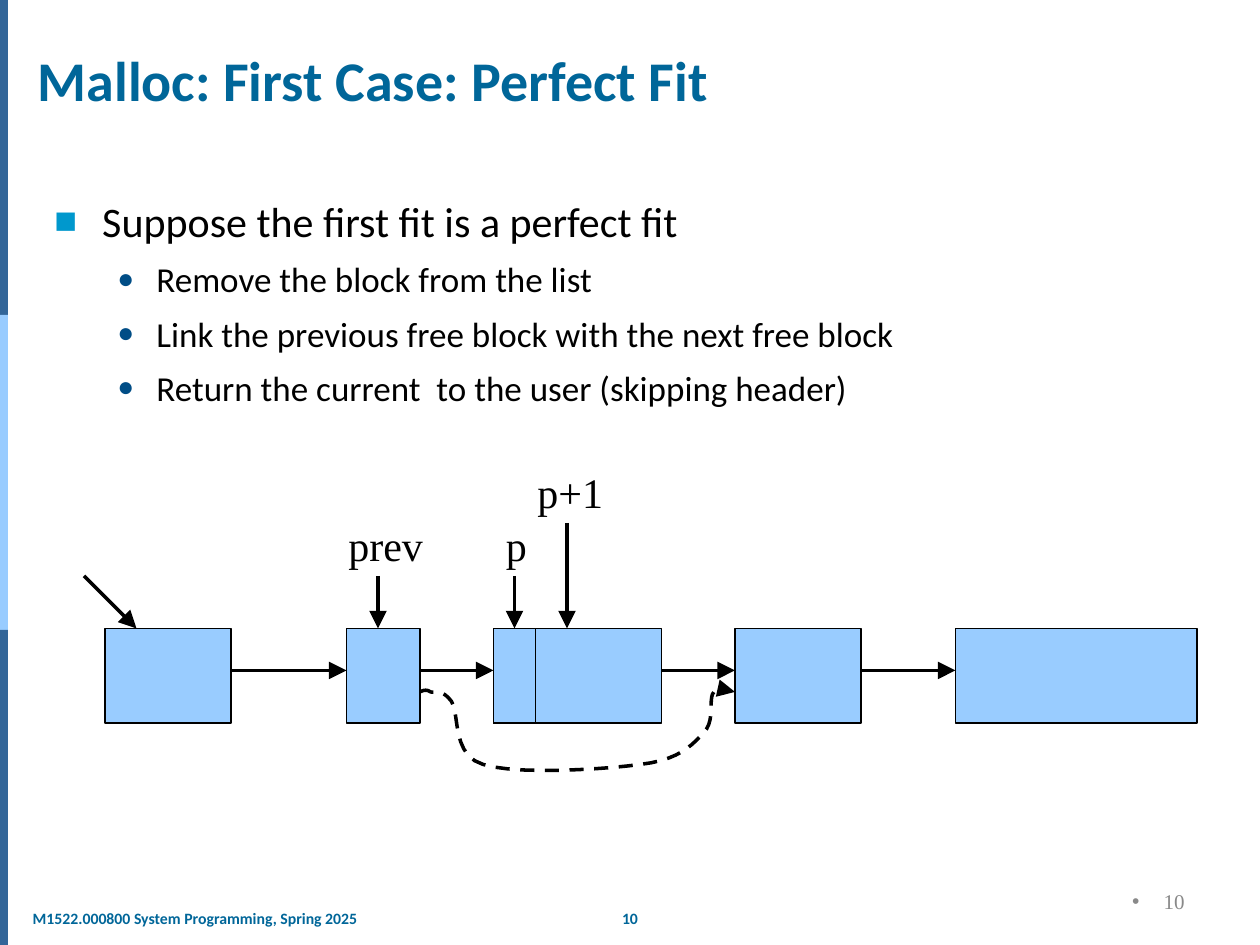
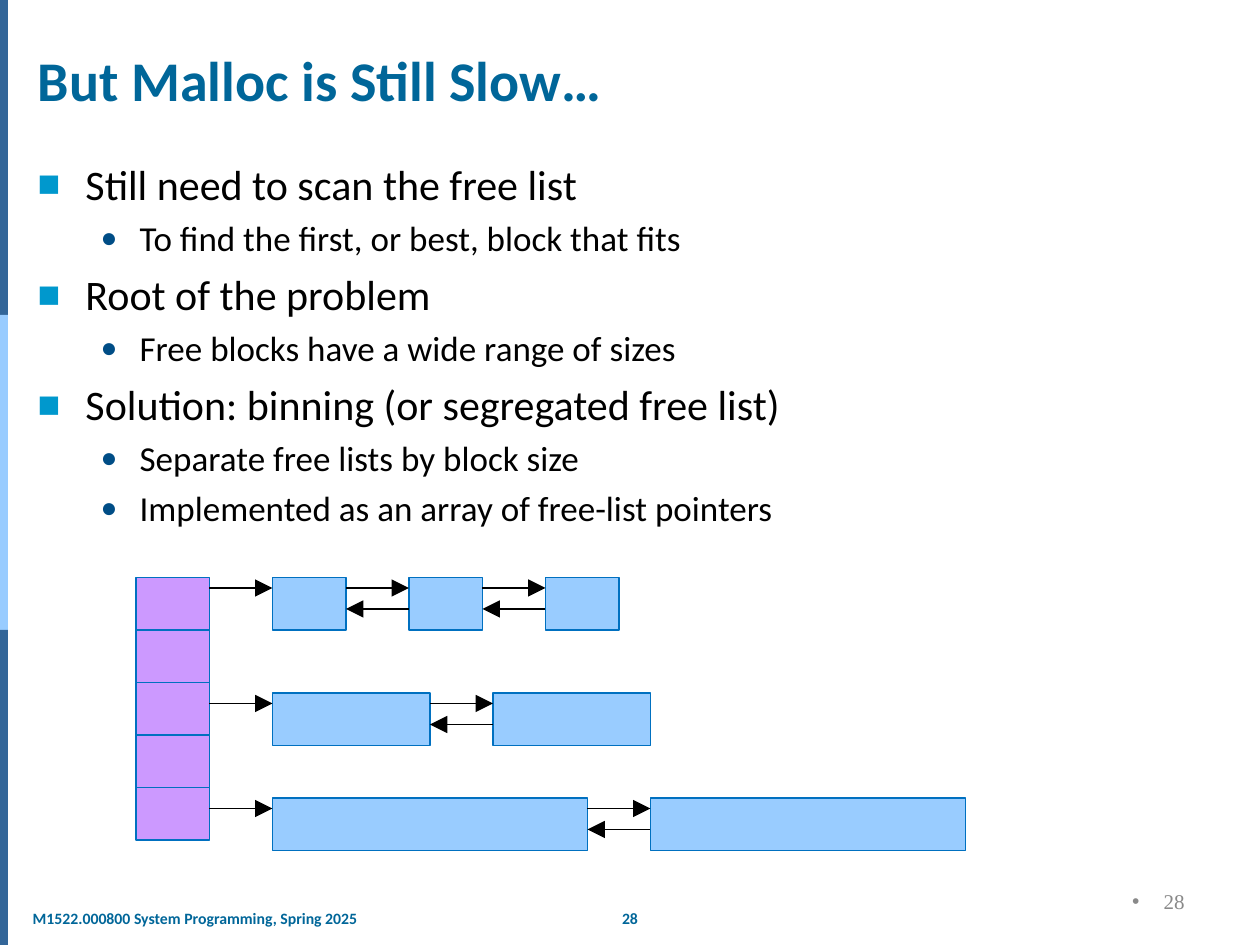
from dataclasses import dataclass
from typing import Optional

from lxml import etree
from pptx import Presentation
from pptx.dml.color import RGBColor
from pptx.enum.dml import MSO_LINE
from pptx.enum.shapes import MSO_CONNECTOR, MSO_SHAPE
from pptx.enum.text import MSO_ANCHOR, PP_ALIGN
from pptx.oxml.ns import qn
from pptx.util import Inches, Pt

RECTANGLE = MSO_SHAPE.RECTANGLE
STRAIGHT = MSO_CONNECTOR.STRAIGHT
DASH = MSO_LINE.DASH
LEFT, CENTER, RIGHT = PP_ALIGN.LEFT, PP_ALIGN.CENTER, PP_ALIGN.RIGHT
TOP, MIDDLE, BOTTOM = MSO_ANCHOR.TOP, MSO_ANCHOR.MIDDLE, MSO_ANCHOR.BOTTOM

WIDTH, HEIGHT = Inches(10), Inches(7.5)
COLUMNS, ROWS = 120, 90
TITLE_ONLY = 5
TOP_SIDE = 0
COURSE = "M1522.000800 System Programming, Spring 2025"


@dataclass(frozen=True)
class Theme:
    sans: str = "Calibri"
    serif: str = "Times New Roman"
    heading: str = "006699"
    ink: str = "000000"
    muted: str = "898989"
    band_dark: str = "336699"
    block: str = "99CCFF"
    bin: str = "CC99FF"
    outline: str = "0070C0"
    title_size: float = 32
    label_size: float = 24
    number_size: float = 12
    footer_size: float = 9
    thin: float = 0.75
    thick: float = 2


THEME = Theme()


@dataclass(frozen=True)
class Area:
    column: float
    row: float
    columns: float
    rows: float


@dataclass(frozen=True)
class Bullet:
    mark: str
    margin: float
    hanging: float
    color: Optional[str] = None
    percent: int = 100


@dataclass(frozen=True)
class Level:
    size: float
    before: float
    bullet: Bullet


@dataclass(frozen=True)
class Item:
    level: int
    text: str


@dataclass(frozen=True)
class Label:
    text: str
    area: Area


@dataclass(frozen=True)
class FreeList:
    bin_index: int
    row: int
    block_columns: int
    count: int


LEVELS = (
    Level(24, 8.4, Bullet("■", 0.38, 0.38, "0098CD", 90)),
    Level(20, 7, Bullet("●", 0.81, 0.31, "004D86", 80)),
)
NUMBER_BULLET = Bullet("•", 0.25, 0.25)


def across(columns: float) -> int:
    return round(WIDTH * columns / COLUMNS)


def down(rows: float) -> int:
    return round(HEIGHT * rows / ROWS)


def bounds(area: Area) -> tuple:
    return across(area.column), down(area.row), across(area.columns), down(area.rows)


def set_bullet(para, bullet: Bullet) -> None:
    properties = para._p.get_or_add_pPr()
    properties.set("marL", str(Inches(bullet.margin)))
    properties.set("indent", str(-Inches(bullet.hanging)))
    if bullet.color:
        color = etree.SubElement(properties, qn("a:buClr"))
        etree.SubElement(color, qn("a:srgbClr")).set("val", bullet.color)
    etree.SubElement(properties, qn("a:buSzPct")).set("val", str(bullet.percent * 1000))
    etree.SubElement(properties, qn("a:buFont")).set("typeface", "Arial")
    etree.SubElement(properties, qn("a:buChar")).set("char", bullet.mark)


def write(para, text: str, *, size: float, color: str = THEME.ink, font: str = THEME.sans,
          bold: bool = False, align=LEFT, bullet: Optional[Bullet] = None) -> None:
    if bullet:
        set_bullet(para, bullet)
    para.alignment = align
    span = para.add_run()
    span.text = text
    span.font.name = font
    span.font.size = Pt(size)
    span.font.bold = bold
    span.font.color.rgb = RGBColor.from_string(color)


def add_text(page, area: Area, text: str, *, wrap: bool = False, anchor=TOP,
             side_inset: float = 0.1, **style) -> None:
    frame = page.shapes.add_textbox(*bounds(area)).text_frame
    frame.word_wrap = wrap
    frame.vertical_anchor = anchor
    frame.margin_left = frame.margin_right = Inches(side_inset)
    write(frame.paragraphs[0], text, **style)


def add_block(page, area: Area, fill: str, outline: Optional[str] = None):
    box = page.shapes.add_shape(RECTANGLE, *bounds(area))
    box.shadow.inherit = False
    box.fill.solid()
    box.fill.fore_color.rgb = RGBColor.from_string(fill)
    if outline:
        box.line.color.rgb = RGBColor.from_string(outline)
        box.line.width = Pt(THEME.thin)
    else:
        box.line.fill.background()
    return box


def style_arrow(shape, weight: float) -> None:
    shape.line.color.rgb = RGBColor.from_string(THEME.ink)
    shape.line.width = Pt(weight)
    outline = shape._element.spPr.find(qn("a:ln"))
    head = etree.SubElement(outline, qn("a:tailEnd"))
    for name, value in (("type", "triangle"), ("w", "lg"), ("len", "lg")):
        head.set(name, value)


def add_arrow(page, start: tuple, end: tuple, weight: float):
    arrow = page.shapes.add_connector(
        STRAIGHT, across(start[0]), down(start[1]), across(end[0]), down(end[1]))
    style_arrow(arrow, weight)
    etree.SubElement(arrow._element.spPr, qn("a:effectLst"))
    return arrow


def curve_points(start: tuple, curves: tuple, steps: int = 10) -> list:
    points = []
    for first, second, end in curves:
        for step in range(1, steps + 1):
            t = step / steps
            u = 1 - t
            x, y = (u**3 * a + 3 * u * u * t * b + 3 * u * t * t * c + t**3 * d
                    for a, b, c, d in zip(start, first, second, end))
            points.append((across(x), down(y)))
        start = end
    return points


def add_bypass(page, start: tuple, curves: tuple) -> None:
    builder = page.shapes.build_freeform(across(start[0]), down(start[1]))
    builder.add_line_segments(curve_points(start, curves), close=False)
    bypass = builder.convert_to_shape()
    bypass.shadow.inherit = False
    bypass.fill.background()
    bypass.line.dash_style = DASH
    style_arrow(bypass, THEME.thick)


def add_outline(page, area: Area, items: tuple, line_spacing: float) -> None:
    frame = page.shapes.add_textbox(*bounds(area)).text_frame
    frame.word_wrap = True
    for index, item in enumerate(items):
        para = frame.add_paragraph() if index else frame.paragraphs[0]
        level = LEVELS[item.level]
        para.level = item.level
        para.line_spacing = line_spacing
        para.space_before = Pt(level.before if index else 0)
        write(para, item.text, size=level.size, bullet=level.bullet)


def add_page(deck, title: str, number: int):
    page = deck.slides.add_slide(deck.slide_layouts[TITLE_ONLY])
    third = ROWS / 3
    for index, fill in enumerate((THEME.band_dark, THEME.block, THEME.band_dark)):
        add_block(page, Area(0, index * third, 0.75, third), fill)
    footer = dict(size=THEME.footer_size, color=THEME.heading, bold=True)
    add_text(page, Area(57.8, 86, 4.4, 3), str(number), align=CENTER, **footer)
    add_text(page, Area(2.4, 86, 32.6, 3), COURSE, side_inset=0.06, **footer)
    add_text(page, Area(86, 83.4, 28, 4.8), str(number), wrap=True, anchor=MIDDLE,
             size=THEME.number_size, color=THEME.muted, font=THEME.serif,
             align=RIGHT, bullet=NUMBER_BULLET)

    heading = page.shapes.title
    heading.left, heading.top, heading.width, heading.height = bounds(
        Area(2.4, 3.7, 115.8, 7.6))
    heading.text_frame.vertical_anchor = BOTTOM
    write(heading.text_frame.paragraphs[0], title, size=THEME.title_size,
          color=THEME.heading, bold=True)
    return page


def build_perfect_fit(deck) -> None:
    page = add_page(deck, "Malloc: First Case: Perfect Fit", 10)
    add_outline(page, Area(4, 18, 114, 62.4), (
        Item(0, "Suppose the first fit is a perfect fit"),
        Item(1, "Remove the block from the list"),
        Item(1, "Link the previous free block with the next free block"),
        Item(1, "Return the current  to the user (skipping header)"),
    ), 1.0)

    top, height, link_row, label_end = 59.85, 9, 63.85, 54.85
    blocks = [Area(column, top, columns, height) for column, columns in
              ((10, 12), (33, 7), (47, 16), (70, 12), (91, 23))]
    for block in blocks:
        add_block(page, block, THEME.block, THEME.ink)
    for block, following in zip(blocks, blocks[1:]):
        add_arrow(page, (block.column + block.columns, link_row),
                  (following.column, link_row), THEME.thick)
    header = add_block(page, Area(47, top, 4, height), THEME.block, THEME.ink)

    for start, end in (((8, label_end), (13, top)),
                       ((36, label_end), (36, top)),
                       ((54, 49.8), (54, top))):
        add_arrow(page, start, end, THEME.thick)
    add_arrow(page, (49, label_end), (49, top), THEME.thick).end_connect(header, TOP_SIDE)

    add_bypass(page, (40, 65.9), (
        ((40.2, 65.8), (40.6, 65.6), (41, 65.9)),
        ((41.5, 66), (42.1, 65.6), (43, 66.8)),
        ((43.8, 68), (43, 71.9), (46, 72.8)),
        ((49, 73.8), (57.5, 73.3), (61, 72.8)),
        ((64.6, 72.4), (65.9, 71), (67, 69.8)),
        ((68.2, 68.6), (67.4, 66.5), (68, 65.9)),
        ((68.5, 65.2), (69.2, 65.5), (70, 65.9)),
    ))
    for label in (Label("p", Area(47, 48.85, 4.4, 6)),
                  Label("prev", Area(32, 48.85, 9.5, 6)),
                  Label("p+1", Area(50, 43.8, 9, 6))):
        add_text(page, label.area, label.text, size=THEME.label_size, font=THEME.serif)


def build_binning(deck) -> None:
    page = add_page(deck, "But Malloc is Still Slow…", 28)
    add_outline(page, Area(2.4, 15, 115.8, 70), (
        Item(0, "Still need to scan the free list"),
        Item(1, "To find the first, or best, block that fits"),
        Item(0, "Root of the problem"),
        Item(1, "Free blocks have a wide range of sizes"),
        Item(0, "Solution: binning (or segregated free list)"),
        Item(1, "Separate free lists by block size"),
        Item(1, "Implemented as an array of free-list pointers"),
    ), 0.9)

    bins = [Area(12.95, 55 + 5 * index, 7, 5) for index in range(5)]
    for cell in bins:
        add_block(page, cell, THEME.bin, THEME.outline)

    gap, forward, back = 6, 1, 3
    for free_list in (FreeList(0, 55, 7, 3), FreeList(2, 66, 15, 2), FreeList(4, 76, 30, 2)):
        cell = bins[free_list.bin_index]
        source_end = cell.column + cell.columns
        for index in range(free_list.count):
            left = source_end + gap
            add_block(page, Area(left, free_list.row, free_list.block_columns, 5),
                      THEME.block, THEME.outline)
            ahead, behind = free_list.row + forward, free_list.row + back
            add_arrow(page, (source_end, ahead), (left, ahead), THEME.thin)
            if index:
                add_arrow(page, (left, behind), (source_end, behind), THEME.thin)
            source_end = left + free_list.block_columns


def main() -> None:
    deck = Presentation()
    deck.slide_width, deck.slide_height = WIDTH, HEIGHT
    build_perfect_fit(deck)
    build_binning(deck)
    deck.save("out.pptx")


if __name__ == "__main__":
    main()
